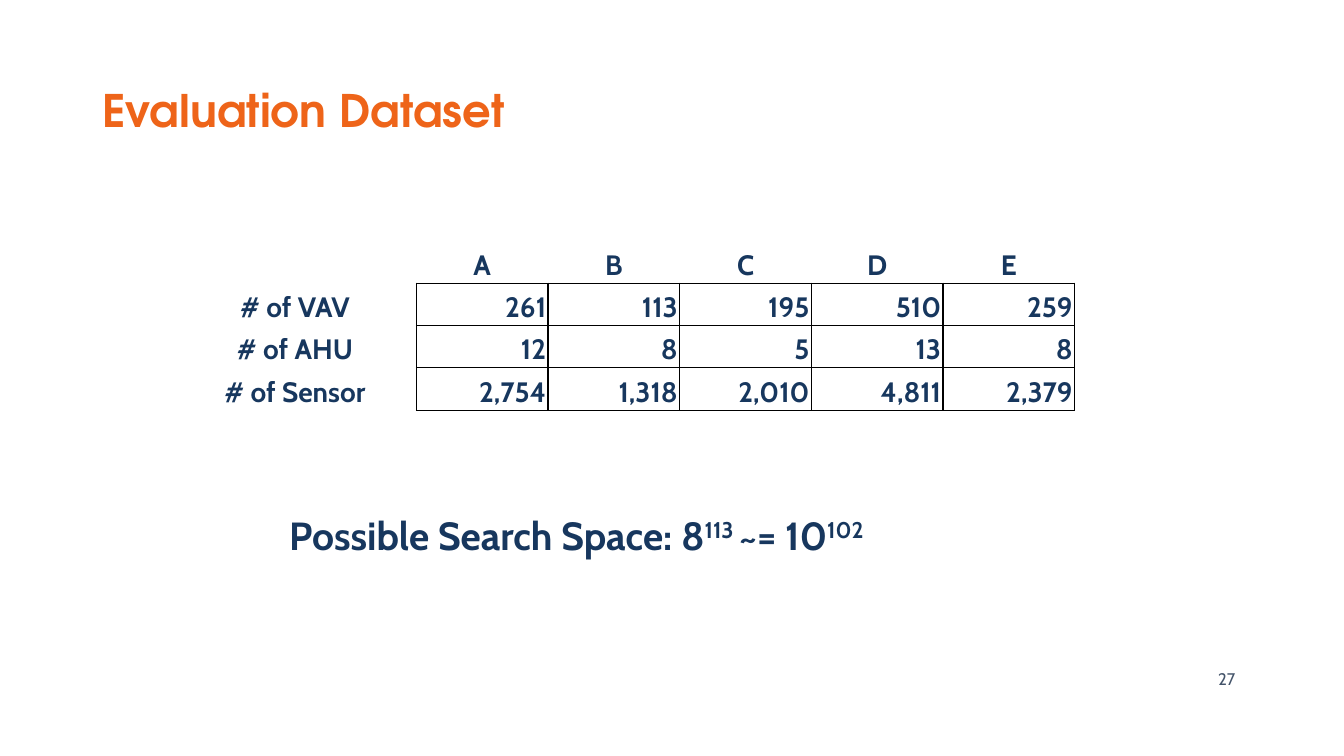
from dataclasses import dataclass

from lxml import etree
from pptx import Presentation
from pptx.dml.color import RGBColor
from pptx.enum.text import MSO_ANCHOR, PP_ALIGN
from pptx.oxml.ns import qn
from pptx.slide import Slide
from pptx.table import _Cell
from pptx.util import Emu, Pt

LEFT, CENTER, RIGHT = PP_ALIGN.LEFT, PP_ALIGN.CENTER, PP_ALIGN.RIGHT
TOP, MIDDLE, BOTTOM = MSO_ANCHOR.TOP, MSO_ANCHOR.MIDDLE, MSO_ANCHOR.BOTTOM
EMU_PER_PX = 9144
BLANK_LAYOUT = 6


@dataclass(frozen=True)
class TextStyle:
    font: str
    size: int
    color: str
    bold: bool = True


@dataclass(frozen=True)
class Theme:
    title: TextStyle = TextStyle("TeX Gyre Adventor", 32, "EE6419")
    page: TextStyle = TextStyle("Cabin", 12, "44546A", False)
    cell: TextStyle = TextStyle("Cabin", 20, "17375E")
    formula: TextStyle = TextStyle("Cabin", 28, "17375E")
    grid: str = "000000"
    grid_points: int = 1


@dataclass(frozen=True)
class Piece:
    text: str
    raised: bool = False


@dataclass(frozen=True)
class Caption:
    box: tuple[int, int, int, int]
    pieces: tuple[Piece, ...]
    style: TextStyle
    align: PP_ALIGN = LEFT
    anchor: MSO_ANCHOR = TOP
    line_spacing: float = 1.0


THEME = Theme()
CAPTIONS = (
    Caption((92, 40, 1150, 145), (Piece("Evaluation Dataset"),),
            THEME.title, anchor=MIDDLE, line_spacing=0.9),
    Caption((935, 653, 300, 40), (Piece("27"),), THEME.page, RIGHT, MIDDLE),
    Caption((277, 502, 780, 57),
            (Piece("Possible Search Space: 8"), Piece("113 ", True),
             Piece("~= 10"), Piece("102", True)), THEME.formula),
)
BUILDING_COUNTS = (
    ("", "A", "B", "C", "D", "E"),
    ("# of VAV", "261", "113", "195", "510", "259"),
    ("# of AHU", "12", "8", "5", "13", "8"),
    ("# of Sensor", "2,754", "1,318", "2,010", "4,811", "2,379"),
)
TABLE_LEFT, TABLE_TOP = 172, 239
LABEL_WIDTH, BUILDING_WIDTH, ROW_HEIGHT = 241, 130.6, 42
CELL_INSET_X, CELL_INSET_Y = 2, 1


def px(length: float) -> Emu:
    return Emu(round(length * EMU_PER_PX))


def apply_style(font, style: TextStyle) -> None:
    font.name = style.font
    font.size = Pt(style.size)
    font.bold = style.bold
    font.color.rgb = RGBColor.from_string(style.color)


def add_caption(slide: Slide, caption: Caption) -> None:
    frame = slide.shapes.add_textbox(*map(px, caption.box)).text_frame
    frame.word_wrap = True
    frame.vertical_anchor = caption.anchor
    paragraph = frame.paragraphs[0]
    paragraph.alignment = caption.align
    paragraph.line_spacing = caption.line_spacing
    for piece in caption.pieces:
        run = paragraph.add_run()
        run.text = piece.text
        apply_style(run.font, caption.style)
        if piece.raised:
            run._r.get_or_add_rPr().set("baseline", "30000")


def set_borders(cell: _Cell, visible_sides: str) -> None:
    properties = cell._tc.get_or_add_tcPr()
    for side in "LRTB":
        line = etree.SubElement(properties, qn(f"a:ln{side}"),
                                w=str(Pt(THEME.grid_points)))
        if side in visible_sides:
            fill = etree.SubElement(line, qn("a:solidFill"))
            etree.SubElement(fill, qn("a:srgbClr"), val=THEME.grid)
        else:
            etree.SubElement(line, qn("a:noFill"))


def fill_cell(cell: _Cell, text: str, align: PP_ALIGN, borders: str) -> None:
    set_borders(cell, borders)
    cell.fill.background()
    cell.margin_left = cell.margin_right = px(CELL_INSET_X)
    cell.margin_top = cell.margin_bottom = px(CELL_INSET_Y)
    cell.vertical_anchor = BOTTOM
    paragraph = cell.text_frame.paragraphs[0]
    paragraph.text = text
    paragraph.alignment = align
    for run in paragraph.runs:
        apply_style(run.font, THEME.cell)


def add_counts_table(slide: Slide) -> None:
    row_count, column_count = len(BUILDING_COUNTS), len(BUILDING_COUNTS[0])
    widths = [LABEL_WIDTH] + [BUILDING_WIDTH] * (column_count - 1)
    counts = slide.shapes.add_table(
        row_count, column_count, px(TABLE_LEFT), px(TABLE_TOP),
        px(sum(widths)), px(ROW_HEIGHT * row_count)).table
    counts.first_row = counts.horz_banding = False
    for column, width in zip(counts.columns, widths):
        column.width = px(width)
    for row_index, values in enumerate(BUILDING_COUNTS):
        counts.rows[row_index].height = px(ROW_HEIGHT)
        for column_index, value in enumerate(values):
            if row_index and column_index:
                align, borders = RIGHT, "LRTB"
            elif row_index:
                align, borders = CENTER, "R"
            else:
                align, borders = CENTER, "B" if column_index else ""
            fill_cell(counts.cell(row_index, column_index), value, align, borders)


def main() -> None:
    presentation = Presentation()
    presentation.slide_width, presentation.slide_height = px(1333), px(750)
    slide = presentation.slides.add_slide(
        presentation.slide_layouts[BLANK_LAYOUT])
    for caption in CAPTIONS:
        add_caption(slide, caption)
    add_counts_table(slide)
    presentation.save("out.pptx")


if __name__ == "__main__":
    main()
